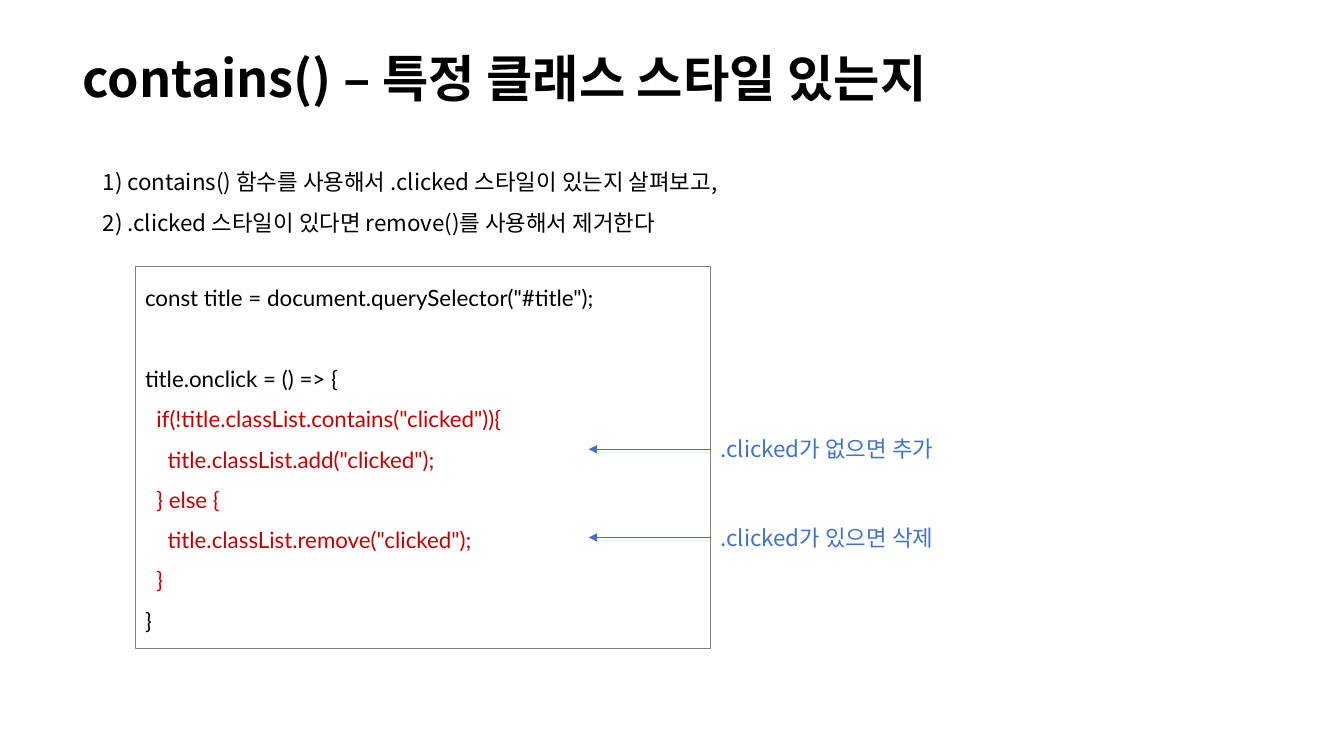
from dataclasses import dataclass

from lxml import etree
from pptx import Presentation
from pptx.dml.color import RGBColor
from pptx.enum.shapes import MSO_CONNECTOR, MSO_SHAPE
from pptx.enum.text import MSO_ANCHOR, MSO_AUTO_SIZE, PP_ALIGN
from pptx.oxml.ns import qn
from pptx.shapes.autoshape import Shape
from pptx.slide import Slide
from pptx.util import Pt

RECT = MSO_SHAPE.RECTANGLE
STRAIGHT = MSO_CONNECTOR.STRAIGHT
TOP, MIDDLE = MSO_ANCHOR.TOP, MSO_ANCHOR.MIDDLE
GROW, FIXED = MSO_AUTO_SIZE.SHAPE_TO_FIT_TEXT, MSO_AUTO_SIZE.NONE
LEFT = PP_ALIGN.LEFT


@dataclass(frozen=True)
class Theme:
    black: str = "000000"
    red: str = "C00000"
    blue: str = "4472C4"
    gray: str = "808080"
    sans: str = "Noto Sans CJK KR"
    code: str = "Lato"
    head: float = 36
    body: float = 16


THEME = Theme()


@dataclass(frozen=True)
class Row:
    text: str
    color: str = THEME.black
    level: int = 0
    gap: float = 0


@dataclass(frozen=True)
class Block:
    left: float
    top: float
    width: float
    height: float
    rows: tuple[Row, ...]
    font: str = THEME.sans
    size: float = THEME.body
    bold: bool = False
    lead: float = 1.5
    anchor: MSO_ANCHOR = TOP
    fit: MSO_AUTO_SIZE = GROW


INDENT = 8.1  # points per code level
LINE = 28.8  # height of one code line
EDGE = 507.6  # right side of the code box
TIP = 420.5  # where the arrows point
NOTE_H = 26.64

TITLE = Block(51.84, 25.2, 701.28, 66.24,
              (Row("contains() – 특정 클래스 스타일 있는지"),),
              size=THEME.head, bold=True, lead=0.9, anchor=MIDDLE, fit=FIXED)
STEPS = Block(66.24, 107.28, 653.04, 61.92, (
    Row("1) contains() 함수를 사용해서 .clicked 스타일이 있는지 살펴보고,"),
    Row("2) .clicked 스타일이 있다면 remove()를 사용해서 제거한다"),
))
CODE = Block(96.48, 190.08, EDGE - 96.48, 272.88, (
    Row('const title = document.querySelector("#title");'),
    Row("title.onclick = () => {", gap=LINE),
    Row('if(!title.classList.contains("clicked")){', THEME.red, 1),
    Row('title.classList.add("clicked");', THEME.red, 2),
    Row("} else {", THEME.red, 1),
    Row('title.classList.remove("clicked");', THEME.red, 2),
    Row("}", THEME.red, 1),
    Row("}"),
), font=THEME.code)
NOTES = tuple(
    Block(EDGE, top, 303.84, NOTE_H, (Row(text, THEME.blue),), lead=1)
    for top, text in ((307.6, ".clicked가 없으면 추가"),
                      (370.6, ".clicked가 있으면 삭제"))
)


def put(item: object, form: dict[str, object]) -> None:
    for name, value in form.items():
        setattr(item, name, value)


def write(shape: Shape, block: Block) -> None:
    frame = shape.text_frame
    put(frame, {"word_wrap": True, "auto_size": block.fit,
                "vertical_anchor": block.anchor})
    for i, row in enumerate(block.rows):
        para = frame.add_paragraph() if i else frame.paragraphs[0]
        put(para, {"alignment": LEFT, "line_spacing": block.lead,
                   "space_before": Pt(row.gap)})
        if row.level:
            props = para._p.get_or_add_pPr()
            props.set("marL", str(Pt(row.level * INDENT)))
            props.set("indent", "0")
        run = para.add_run()
        run.text = row.text
        put(run.font, {"name": block.font, "size": Pt(block.size),
                       "bold": block.bold})
        run.font.color.rgb = RGBColor.from_string(row.color)
        east = etree.SubElement(run.font._element, qn("a:ea"))
        east.set("typeface", block.font)


def area(block: Block) -> tuple[Pt, ...]:
    return tuple(Pt(n) for n in (block.left, block.top,
                                 block.width, block.height))


def add_text(slide: Slide, block: Block) -> None:
    write(slide.shapes.add_textbox(*area(block)), block)


def add_code(slide: Slide, block: Block) -> None:
    box = slide.shapes.add_shape(RECT, *area(block))
    box.shadow.inherit = False
    box.fill.background()
    box.line.color.rgb = RGBColor.from_string(THEME.gray)
    box.line.width = Pt(0.75)
    write(box, block)


def add_arrow(slide: Slide, note: Block) -> None:
    """Point from the middle of a note's left side into the code."""
    y = Pt(note.top + note.height / 2)
    arrow = slide.shapes.add_connector(STRAIGHT, Pt(note.left), y, Pt(TIP), y)
    arrow.line.color.rgb = RGBColor.from_string(THEME.blue)
    arrow.line.width = Pt(0.5)
    tail = etree.SubElement(arrow.line._get_or_add_ln(), qn("a:tailEnd"))
    tail.set("type", "triangle")
    etree.SubElement(arrow._element.spPr, qn("a:effectLst"))


def main() -> None:
    deck = Presentation()
    put(deck, {"slide_width": Pt(960), "slide_height": Pt(540)})
    slide = deck.slides.add_slide(deck.slide_layouts[6])
    add_text(slide, STEPS)
    add_text(slide, TITLE)
    add_code(slide, CODE)
    for note in NOTES:
        add_text(slide, note)
    for note in NOTES:
        add_arrow(slide, note)
    deck.save("out.pptx")


if __name__ == "__main__":
    main()
